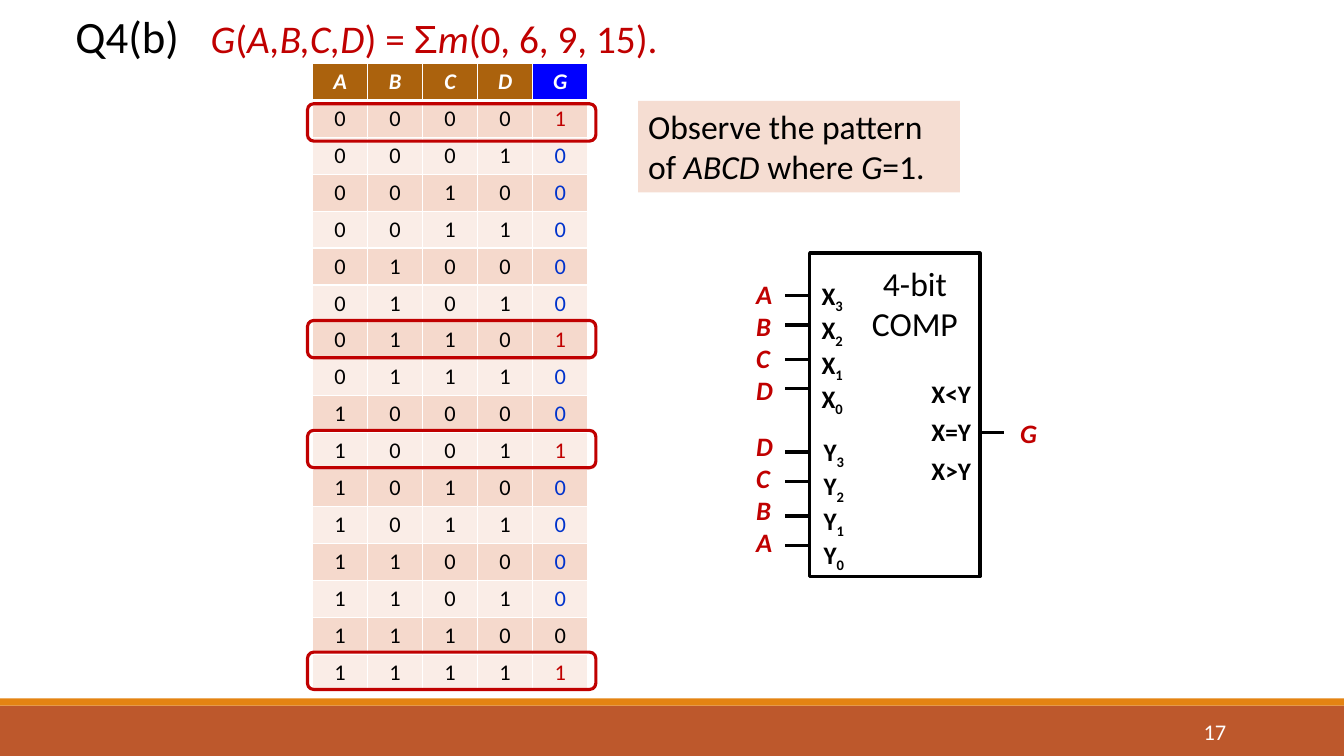
from dataclasses import dataclass

from lxml import etree
from pptx import Presentation
from pptx.dml.color import RGBColor
from pptx.enum.shapes import MSO_CONNECTOR, MSO_SHAPE
from pptx.enum.text import MSO_ANCHOR, PP_ALIGN
from pptx.oxml.ns import qn
from pptx.util import Inches, Pt

STRAIGHT = MSO_CONNECTOR.STRAIGHT
RECTANGLE = MSO_SHAPE.RECTANGLE
ROUNDED = MSO_SHAPE.ROUNDED_RECTANGLE
LEFT, CENTER, RIGHT = PP_ALIGN.LEFT, PP_ALIGN.CENTER, PP_ALIGN.RIGHT
TOP, MIDDLE = MSO_ANCHOR.TOP, MSO_ANCHOR.MIDDLE

GRID_STEP = 0.1
MINTERMS = (0, 6, 9, 15)
BLACK_OUTPUT = 14
INPUTS = "ABCD"


@dataclass(frozen=True)
class Theme:
    font: str = "Calibri"
    symbol_font: str = "Arial"
    ink: str = "000000"
    paper: str = "FFFFFF"
    red: str = "C00000"
    blue: str = "0033CC"
    output_header: str = "0000FF"
    input_header: str = "AB620D"
    bands: tuple = ("F5D9CC", "FAEDE7")
    note: str = "F5DDD2"
    footer: str = "BD582C"
    footer_edge: str = "E48312"
    title_size: int = 32
    formula_size: int = 28
    large_size: int = 24
    signal_size: int = 19
    pin_size: int = 18
    small_size: int = 16
    line_width: float = 2.25


def grid(units):
    return Inches(units * GRID_STEP)


def color(value):
    return RGBColor.from_string(value)


class SlideBuilder:
    def __init__(self, slide, theme):
        self.slide = slide
        self.theme = theme

    def add_runs(self, frame, paragraphs, size, ink, align=LEFT, bold=False, after=0):
        for index, runs in enumerate(paragraphs):
            paragraph = frame.paragraphs[0] if index == 0 else frame.add_paragraph()
            paragraph.alignment = align
            paragraph.space_after = Pt(after)
            for text, style in runs:
                run = paragraph.add_run()
                run.text = text
                run.font.name = self.theme.symbol_font if style == "symbol" else self.theme.font
                run.font.size = Pt(size)
                run.font.bold = bold
                run.font.italic = style == "italic"
                run.font.color.rgb = color(ink)
                if style == "subscript":
                    run._r.get_or_add_rPr().set("baseline", "-25000")

    def text(self, place, paragraphs, size, ink, anchor=TOP, spacing=1.0, **style):
        box = self.slide.shapes.add_textbox(*map(grid, place))
        frame = box.text_frame
        frame.word_wrap = True
        frame.vertical_anchor = anchor
        self.add_runs(frame, paragraphs, size, ink, **style)
        for paragraph in frame.paragraphs:
            paragraph.line_spacing = spacing

    def shape(self, place, preset=RECTANGLE, fill=None, line=None):
        shape = self.slide.shapes.add_shape(preset, *map(grid, place))
        shape.shadow.inherit = False
        if fill:
            shape.fill.solid()
            shape.fill.fore_color.rgb = color(fill)
        else:
            shape.fill.background()
        if line:
            shape.line.color.rgb = color(line)
            shape.line.width = Pt(self.theme.line_width)
        else:
            shape.line.fill.background()

    def wire(self, left, right, row):
        connector = self.slide.shapes.add_connector(
            STRAIGHT, grid(left), grid(row), grid(right), grid(row))
        connector.line.color.rgb = color(self.theme.ink)
        connector.line.width = Pt(self.theme.line_width)
        etree.SubElement(connector._element.spPr, qn("a:effectLst"))

    def border(self, cell, bottom):
        properties = cell._tc.get_or_add_tcPr()
        for index, side in enumerate(("lnL", "lnR", "lnT", "lnB")):
            width = Pt(bottom if side == "lnB" else 1)
            line = etree.Element(qn("a:" + side), w=str(width))
            fill = etree.SubElement(line, qn("a:solidFill"))
            etree.SubElement(fill, qn("a:srgbClr"), val=self.theme.paper)
            properties.insert(index, line)

    def cell(self, cell, text, fill, ink, header=False):
        cell.fill.solid()
        cell.fill.fore_color.rgb = color(fill)
        cell.margin_top = cell.margin_bottom = 0
        cell.vertical_anchor = MIDDLE
        style = "italic" if header else ""
        self.add_runs(cell.text_frame, [[(text, style)]], self.theme.small_size, ink,
                      align=CENTER, bold=header)
        self.border(cell, 3 if header else 1)

    def truth_table(self, place):
        theme = self.theme
        headers = INPUTS + "G"
        count = 2 ** len(INPUTS)
        table = self.slide.shapes.add_table(
            count + 1, len(headers), *map(grid, place)).table
        table.horz_banding = False
        for column in table.columns:
            column.width = grid(place[2] / len(headers))
        for row in table.rows:
            row.height = grid(place[3] / (count + 1))
        for index, name in enumerate(headers):
            fill = theme.output_header if name == "G" else theme.input_header
            self.cell(table.cell(0, index), name, fill, theme.paper, header=True)
        for number in range(count):
            high = number in MINTERMS
            output_ink = theme.red if high else theme.blue
            if number == BLACK_OUTPUT:
                output_ink = theme.ink
            for index, digit in enumerate(f"{number:04b}{int(high)}"):
                ink = output_ink if index == len(INPUTS) else theme.ink
                self.cell(table.cell(number + 1, index), digit, theme.bands[number % 2], ink)

    def signals(self, place, names):
        self.text(place, [[(name, "italic")] for name in names],
                  self.theme.signal_size, self.theme.red, bold=True)

    def pins(self, place, letter):
        self.text(place, [[(letter, ""), (digit, "subscript")] for digit in "3210"],
                  self.theme.pin_size, self.theme.ink, bold=True)

    def comparator(self):
        theme = self.theme
        self.shape((80.3, 25.1, 16.9, 32.1), line=theme.ink)
        self.pins((80.5, 27.3, 5.7, 15.1), "X")
        self.pins((80.7, 42.8, 5.7, 13.1), "Y")
        self.text((83.1, 25.6, 15.3, 9.1), [[("4-bit", "")], [("COMP", "")]],
                  theme.large_size, theme.ink, align=CENTER)
        self.text((91.4, 37, 6.9, 11.8), [[(f"X{sign}Y", "")] for sign in "<=>"],
                  theme.pin_size, theme.ink, bold=True, after=6)
        for first_row in (29.3, 44.85):
            for offset in (0, 2.95, 6.35, 9.25):
                self.wire(77.9, 80.3, first_row + offset)
        self.wire(97.2, 99.6, 42.9)
        self.signals((74, 27.1, 3.5, 13.8), INPUTS)
        self.signals((74, 42.2, 3.5, 13.8), reversed(INPUTS))
        self.signals((100.2, 40.9, 3.5, 4.2), "G")


def main():
    presentation = Presentation()
    presentation.slide_width = Inches(13.33)
    presentation.slide_height = Inches(7.5)
    theme = Theme()
    builder = SlideBuilder(
        presentation.slides.add_slide(presentation.slide_layouts[6]), theme)

    builder.shape((0, 70, 133.3, 5), fill=theme.footer)
    builder.shape((0, 69.3, 133.3, 0.7), fill=theme.footer_edge)
    builder.text((6.5, 1, 13.3, 7), [[("Q4(b)", "")]],
                 theme.title_size, theme.ink, spacing=0.9)
    formula = [("G", "italic"), ("(", ""), ("A,B,C,D", "italic"), (") = ", ""),
               ("Σ", "symbol"), ("m", "italic"), ("(0, 6, 9, 15).", "")]
    builder.text((19.9, 0.9, 47.9, 5.7), [formula], theme.formula_size, theme.red)

    builder.truth_table((31, 6.3, 27.3, 62.3))
    for top in (10.3, 31.8, 42.7, 64.7):
        builder.shape((30.5, top, 28.6, 3.7), ROUNDED, line=theme.red)

    note = (63.3, 10, 31.9, 9.1)
    builder.shape(note, fill=theme.note)
    observation = [("Observe the pattern of ", ""), ("ABCD", "italic"),
                   (" where ", ""), ("G", "italic"), ("=1.", "")]
    builder.text(note, [observation], theme.large_size, theme.ink)

    builder.comparator()
    builder.text((108.3, 70.6, 14.3, 4), [[("17", "")]],
                 theme.small_size, theme.paper, anchor=MIDDLE, align=RIGHT)
    presentation.save("out.pptx")


if __name__ == "__main__":
    main()
